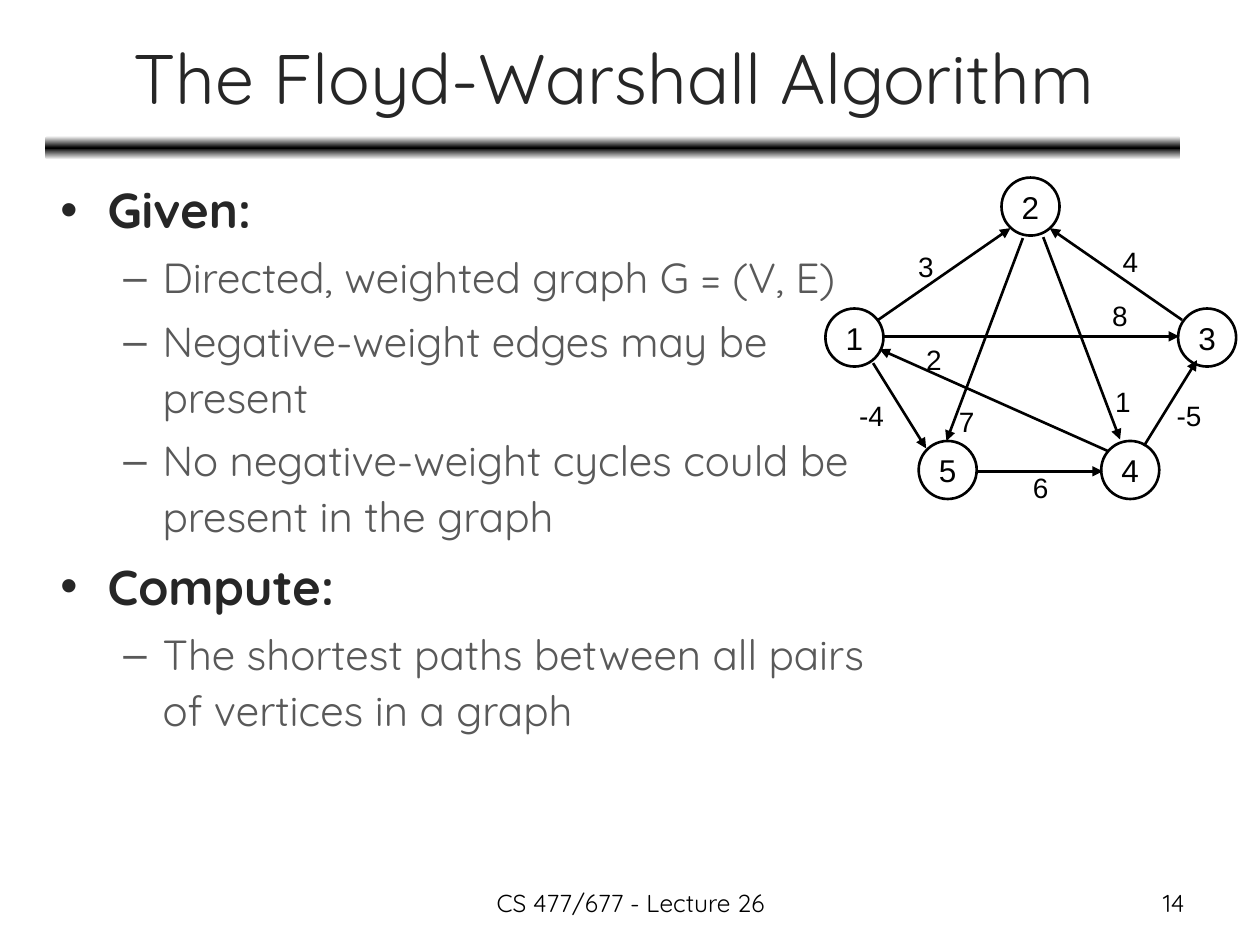
from copy import deepcopy

from lxml import etree
from pptx import Presentation
from pptx.dml.color import RGBColor
from pptx.enum.shapes import MSO_CONNECTOR, MSO_SHAPE
from pptx.enum.text import MSO_ANCHOR, MSO_AUTO_SIZE, PP_ALIGN
from pptx.oxml.ns import qn
from pptx.util import Cm, Pt


def rgb(value):
    return RGBColor.from_string(value)


def add_text(p, text, size, font, color="000000", bold=False):
    r = p.add_run()
    r.text = text
    r.font.size = Pt(size)
    r.font.name = font
    r.font.bold = bold
    r.font.color.rgb = rgb(color)


prs = Presentation()
prs.slide_width, prs.slide_height = Cm(25.4), Cm(19.05)
s = prs.slides.add_slide(prs.slide_layouts[6])

# Gradient bar under the title
bar = s.shapes.add_shape(MSO_SHAPE.ROUNDED_RECTANGLE, Cm(0.91), Cm(2.74), Cm(22.89), Cm(0.48))
bar.shadow.inherit = False
bar.line.fill.background()
bar.fill.gradient()
bar.fill.gradient_angle = 90
gs_list = bar.fill._fill._gradFill.gsLst
gs_list.append(deepcopy(gs_list[-1]))
for stop, (position, color) in zip(bar.fill.gradient_stops,
                                   [(0, "FFFFFF"), (0.5, "000000"), (1, "FFFFFF")]):
    stop.position = position
    stop.color.rgb = rgb(color)

# Title, footer and slide number
for x, y, w, h, text, size, color, align, anchor in [
    (0.94, 0.28, 22.86, 2.51, "The Floyd-Warshall Algorithm", 40, "262626",
     PP_ALIGN.CENTER, MSO_ANCHOR.MIDDLE),
    (8.69, 17.78, 8.05, 0.89, "CS 477/677 - Lecture 26", 14, "000000",
     PP_ALIGN.CENTER, MSO_ANCHOR.TOP),
    (18.21, 17.78, 5.92, 0.89, "14", 14, "000000", PP_ALIGN.RIGHT, MSO_ANCHOR.TOP),
]:
    tf = s.shapes.add_textbox(Cm(x), Cm(y), Cm(w), Cm(h)).text_frame
    tf.word_wrap = True
    tf.vertical_anchor = anchor
    p = tf.paragraphs[0]
    p.alignment = align
    add_text(p, text, size, "Quicksand", color)

# Bulleted body
tf = s.shapes.add_textbox(Cm(0.97), Cm(3.38), Cm(17.65), Cm(14.1)).text_frame
tf.word_wrap = True
levels = [  # bullet, left margin, hanging indent, size, colour, bold
    ("•", 0.95, 0.95, 28, "262626", True),
    ("–", 2.06, 0.79, 24, "595959", False),
]
for i, (level, text) in enumerate([
    (0, "Given:"),
    (1, "Directed, weighted graph G = (V, E)"),
    (1, "Negative-weight edges may be present"),
    (1, "No negative-weight cycles could be present in the graph"),
    (0, "Compute:"),
    (1, "The shortest paths between all pairs of vertices in a graph"),
]):
    bullet, margin, hanging, size, color, bold = levels[level]
    p = tf.paragraphs[0] if i == 0 else tf.add_paragraph()
    p.level = level
    p.line_spacing = 1.1
    p.space_before = Pt(0.2 * size if i else 0)
    pPr = p._p.get_or_add_pPr()
    pPr.set("marL", str(Cm(margin)))
    pPr.set("indent", str(-Cm(hanging)))
    etree.SubElement(pPr, qn("a:buFont")).set("typeface", "Arial")
    etree.SubElement(pPr, qn("a:buChar")).set("char", bullet)
    add_text(p, text, size, "Quicksand", color, bold)

# Graph vertices
diameter = 1.17
for name, x, y in [("1", 16.64, 6.22), ("2", 20.19, 3.58), ("3", 23.75, 6.22),
                   ("5", 18.52, 8.89), ("4", 22.2, 8.89)]:
    sp = s.shapes.add_shape(MSO_SHAPE.OVAL, Cm(x), Cm(y), Cm(diameter), Cm(diameter))
    sp.shadow.inherit = False
    sp.fill.background()
    sp.line.color.rgb = rgb("000000")
    sp.line.width = Pt(1.5)
    tf = sp.text_frame
    tf.word_wrap = False
    tf.vertical_anchor = MSO_ANCHOR.MIDDLE
    p = tf.paragraphs[0]
    p.alignment = PP_ALIGN.CENTER
    add_text(p, name, 18, "Arial")

# Directed edges: start, end, weight and the weight's top left corner
for x1, y1, x2, y2, weight, x, y in [
    (17.7, 6.45, 20.37, 4.6, "3", 18.26, 4.9),
    (17.6, 7.32, 18.67, 9.04, "-4", 17.07, 7.9),
    (20.62, 4.8, 19.08, 8.89, "7", 19.08, 8.03),
    (19.71, 9.5, 22.23, 9.5, "6", 20.57, 9.37),
    (22.33, 9.09, 17.73, 7.04, "2", 18.42, 6.78),
    (23.83, 6.45, 21.16, 4.6, "4", 22.38, 4.8),
    (21.03, 4.78, 22.58, 8.86, "1", 22.23, 7.62),
    (23.06, 8.99, 24.13, 7.26, "-5", 23.47, 7.9),
    (17.83, 6.78, 23.77, 6.78, "8", 22.17, 5.89),
]:
    edge = s.shapes.add_connector(MSO_CONNECTOR.STRAIGHT, Cm(x1), Cm(y1), Cm(x2), Cm(y2))
    edge.line.color.rgb = rgb("000000")
    edge.line.width = Pt(1.5)
    etree.SubElement(edge.line._get_or_add_ln(), qn("a:tailEnd")).set("type", "triangle")
    etree.SubElement(edge._element.spPr, qn("a:effectLst"))

    width = 0.81 if len(weight) == 1 else 1.02
    tf = s.shapes.add_textbox(Cm(x), Cm(y), Cm(width), Cm(0.94)).text_frame
    tf.word_wrap = False
    tf.auto_size = MSO_AUTO_SIZE.SHAPE_TO_FIT_TEXT
    add_text(tf.paragraphs[0], weight, 16, "Arial")

prs.save("out.pptx")
